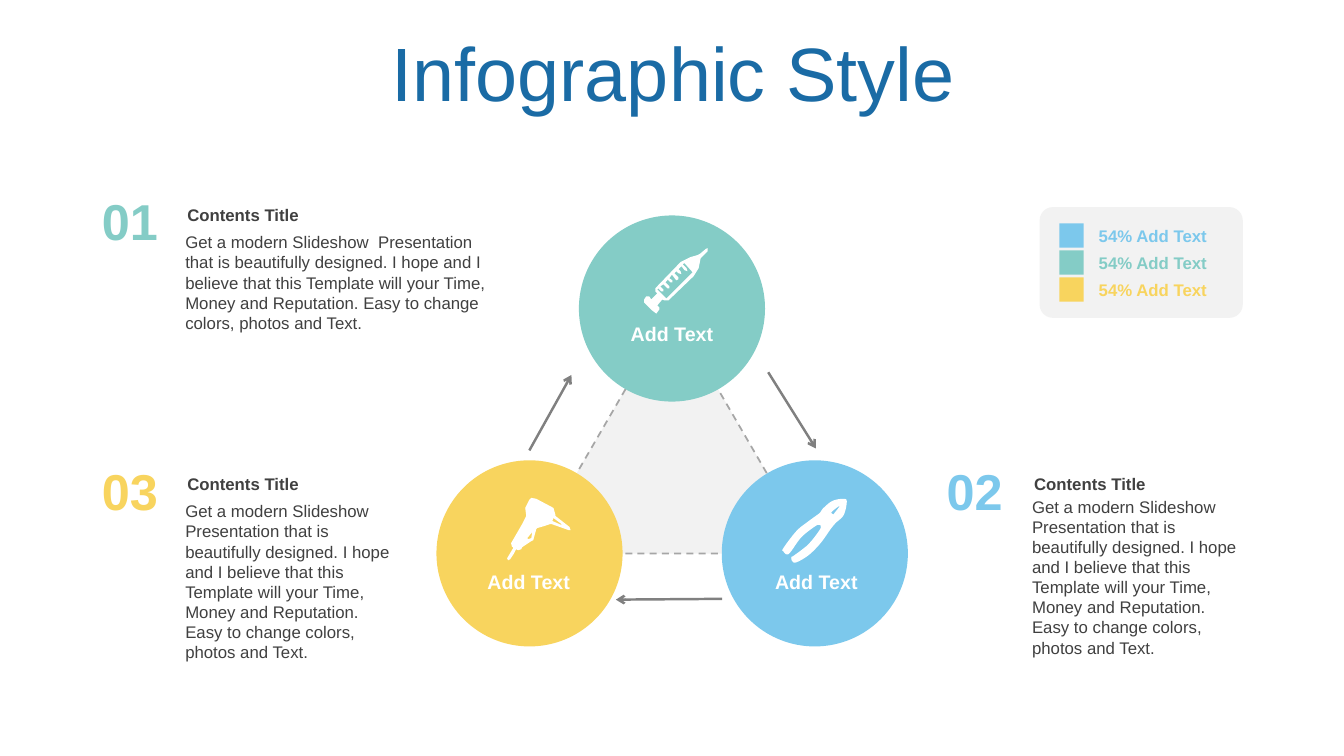
from dataclasses import dataclass

from lxml.etree import SubElement
from pptx import Presentation
from pptx.dml.color import RGBColor
from pptx.enum.dml import MSO_LINE
from pptx.enum.shapes import MSO_CONNECTOR, MSO_SHAPE
from pptx.enum.text import MSO_ANCHOR, MSO_AUTO_SIZE, PP_ALIGN
from pptx.oxml.ns import qn
from pptx.util import Cm, Pt

BLUE = RGBColor(0x1A, 0x6B, 0xA5)
TEAL = RGBColor(0x84, 0xCC, 0xC6)
YELLOW = RGBColor(0xF8, 0xD4, 0x5E)
SKY = RGBColor(0x7C, 0xC8, 0xEC)
PALE = RGBColor(0xF2, 0xF2, 0xF2)
DASH_GRAY = RGBColor(0xA6, 0xA6, 0xA6)
ARROW_GRAY = RGBColor(0x80, 0x80, 0x80)
INK = RGBColor(0x40, 0x40, 0x40)
WHITE = RGBColor(0xFF, 0xFF, 0xFF)

BODY = ("Get a modern Slideshow  Presentation that is beautifully designed. "
        "I hope and I believe that this Template will your Time, Money and "
        "Reputation. Easy to change colors, photos and Text.")
CIRCLE = 4.69
SWATCH = 0.61
LEGEND_STEP = 0.68
ICON_UNIT = Cm(2.54) / 100  # icon points are in hundredths of an inch

Contour = list[tuple[float, float]]


@dataclass
class Node:
    left: float
    top: float
    label_left: float
    label_top: float
    color: RGBColor


@dataclass
class Arrow:
    x1: float
    y1: float
    x2: float
    y2: float


@dataclass
class Block:
    number: str
    color: RGBColor
    left: float
    top: float
    text_left: float
    body_top: float
    width: float
    height: float


@dataclass
class Icon:
    left: float
    top: float
    contours: list[Contour]
    smooth: bool = False


NODES = [
    Node(14.59, 5.43, 14.99, 7.98, TEAL),
    Node(11.0, 11.6, 11.38, 14.23, YELLOW),
    Node(18.19, 11.6, 18.63, 14.23, SKY),
]
ARROWS = [
    Arrow(13.34, 11.35, 14.4, 9.45),
    Arrow(19.36, 9.38, 20.56, 11.3),
    Arrow(18.2, 15.09, 15.52, 15.11),
]
BLOCKS = [
    Block("01", TEAL, 2.26, 4.67, 4.42, 5.72, 8.2, 2.82),
    Block("03", YELLOW, 2.26, 11.46, 4.42, 12.5, 5.79, 4.37),
    Block("02", SKY, 23.55, 11.46, 25.76, 12.38, 5.79, 4.37),
]
PLIERS = Icon(19.74, 12.57, [
    [(36, 26), (32, 27), (18, 38), (7, 53), (3, 55), (0, 52), (0, 49), (13, 32),
     (24, 23), (35, 15), (37, 13), (40, 9), (49, 2), (60, 0), (63, 3), (60, 16),
     (52, 24), (47, 30), (37, 44), (25, 56), (13, 63), (9, 62), (8, 58),
     (11, 56), (25, 45), (36, 31), (37, 27)],
    [(56, 7), (48, 13), (49, 15), (50, 15)],
], smooth=True)
DRILL = Icon(12.78, 12.52, [
    [(48, 19), (62, 30), (63, 33), (61, 33), (44, 27), (43, 27), (37, 29),
     (30, 31), (29, 32), (26, 43), (24, 44), (15, 50), (14, 52), (11, 53),
     (9, 52), (7, 56), (3, 62), (1, 63), (0, 61), (6, 51), (6, 50), (5, 50),
     (4, 46), (15, 27), (19, 19), (18, 11), (22, 3), (24, 1), (29, 2),
     (46, 11), (48, 18)],
    [(54, 28), (54, 27), (46, 21), (45, 24)],
    [(20, 41), (21, 42), (24, 41), (25, 35)],
])
SYRINGE = Icon(16.21, 6.25, [
    [(19, 51), (14, 57), (16, 59), (16, 61), (13, 65), (9, 62), (1, 54), (1, 51),
     (3, 48), (6, 48), (8, 51), (14, 45), (12, 43), (12, 40), (37, 14), (47, 9),
     (54, 7), (56, 6), (62, 1), (64, 0), (64, 3), (57, 10), (55, 20), (50, 28),
     (25, 52), (21, 52)],
    [(23, 50), (49, 24), (41, 15), (39, 16), (43, 20), (44, 23), (41, 22),
     (38, 18), (35, 21), (37, 23), (38, 26), (35, 25), (33, 23), (31, 25),
     (35, 29), (35, 31), (33, 32), (32, 31), (29, 27), (28, 27), (26, 30),
     (29, 32), (29, 34), (27, 34), (24, 31), (24, 32), (22, 34), (26, 38),
     (26, 40), (24, 40), (20, 36), (17, 38), (20, 41), (20, 43), (18, 43),
     (15, 40), (14, 41), (15, 42)],
])


def paint(sp, color: RGBColor) -> None:
    sp.shadow.inherit = False
    sp.fill.solid()
    sp.fill.fore_color.rgb = color
    sp.line.fill.background()


def add_shape(s, kind: MSO_SHAPE, left: float, top: float, width: float,
              height: float, color: RGBColor):
    sp = s.shapes.add_shape(kind, Cm(left), Cm(top), Cm(width), Cm(height))
    paint(sp, color)
    return sp


def add_text(s, text: str, left: float, top: float, width: float, height: float,
             size: int, color: RGBColor, bold: bool = False,
             align: PP_ALIGN = PP_ALIGN.LEFT, anchor: MSO_ANCHOR = MSO_ANCHOR.TOP,
             grow: bool = True):
    tf = s.shapes.add_textbox(Cm(left), Cm(top), Cm(width), Cm(height)).text_frame
    tf.word_wrap = True
    tf.auto_size = MSO_AUTO_SIZE.SHAPE_TO_FIT_TEXT if grow else MSO_AUTO_SIZE.NONE
    tf.vertical_anchor = anchor
    p = tf.paragraphs[0]
    p.text = text
    p.alignment = align
    p.font.name = "Arial"
    p.font.size = Pt(size)
    p.font.bold = bold
    p.font.color.rgb = color
    return tf


def add_arrow(s, arrow: Arrow) -> None:
    line = s.shapes.add_connector(MSO_CONNECTOR.STRAIGHT, Cm(arrow.x1), Cm(arrow.y1),
                                  Cm(arrow.x2), Cm(arrow.y2))
    line.line.color.rgb = ARROW_GRAY
    line.line.width = Pt(1.75)
    SubElement(line.line._get_or_add_ln(), qn("a:tailEnd"), type="arrow")
    SubElement(line._element.spPr, qn("a:effectLst"))


def add_block(s, block: Block) -> None:
    add_text(s, block.number, block.left, block.top, 2.03, 1.8, 36, block.color,
             True, PP_ALIGN.CENTER)
    add_text(s, BODY, block.text_left, block.body_top, block.width, block.height, 12, INK)
    tf = add_text(s, "Contents Title", block.text_left, block.top + 0.36,
                  block.width, 0.76, 12, INK, True)
    tf.margin_left = tf.margin_right = Cm(0.3)


def round_off(points: Contour, steps: int = 6) -> Contour:
    """Closed Catmull-Rom curve through the points."""
    curve = []
    for i, b in enumerate(points):
        a, c, d = points[i - 1], points[(i + 1) % len(points)], points[(i + 2) % len(points)]
        for t in (k / steps for k in range(steps)):
            x, y = (b[n] + t * (c[n] - a[n]) / 2
                    + t ** 2 * (2 * a[n] - 5 * b[n] + 4 * c[n] - d[n]) / 2
                    + t ** 3 * (3 * b[n] - a[n] - 3 * c[n] + d[n]) / 2 for n in (0, 1))
            curve.append((x, y))
    return curve


def add_icon(s, icon: Icon) -> None:
    builder = s.shapes.build_freeform()
    for contour in icon.contours:
        points = round_off(contour) if icon.smooth else contour
        scaled = [(x * ICON_UNIT, y * ICON_UNIT) for x, y in points]
        builder.move_to(*scaled[0])
        builder.add_line_segments(scaled[1:], close=True)
    paint(builder.convert_to_shape(Cm(icon.left), Cm(icon.top)), WHITE)


def main() -> None:
    prs = Presentation()
    prs.slide_width, prs.slide_height = Cm(33.87), Cm(19.05)
    s = prs.slides.add_slide(prs.slide_layouts[6])

    # Title
    tf = add_text(s, "Infographic Style", 0.89, 0.94, 32.16, 2.01, 54, BLUE,
                  align=PP_ALIGN.CENTER, anchor=MSO_ANCHOR.MIDDLE, grow=False)
    tf.paragraphs[0].line_spacing = 0.9

    # Cycle: triangle, circles, arrows and labels
    triangle = add_shape(s, MSO_SHAPE.ISOSCELES_TRIANGLE, 13.36, 7.8, 7.14, 6.15, PALE)
    triangle.line.color.rgb = DASH_GRAY
    triangle.line.width = Pt(1.25)
    triangle.line.dash_style = MSO_LINE.DASH
    for node in NODES:
        add_shape(s, MSO_SHAPE.OVAL, node.left, node.top, CIRCLE, CIRCLE, node.color)
    for arrow in ARROWS:
        add_arrow(s, arrow)
    for node in NODES:
        add_text(s, "Add Text", node.label_left, node.label_top, 3.89, 0.86, 14,
                 WHITE, True, PP_ALIGN.CENTER)

    # Legend
    panel = add_shape(s, MSO_SHAPE.ROUNDED_RECTANGLE, 26.2, 5.22, 5.12, 2.79, PALE)
    panel.adjustments[0] = 0.12
    for i, color in enumerate((SKY, TEAL, YELLOW)):
        drop = i * LEGEND_STEP
        add_shape(s, MSO_SHAPE.RECTANGLE, 26.7, 5.63 + drop, SWATCH, SWATCH, color)
        add_text(s, "54% Add Text", 27.44, 5.56 + drop, 3.38, 0.76, 12, color, True,
                 anchor=MSO_ANCHOR.MIDDLE)

    # Numbered texts and icons
    for block in BLOCKS:
        add_block(s, block)
    for icon in (PLIERS, DRILL, SYRINGE):
        add_icon(s, icon)

    prs.save("out.pptx")


if __name__ == "__main__":
    main()
